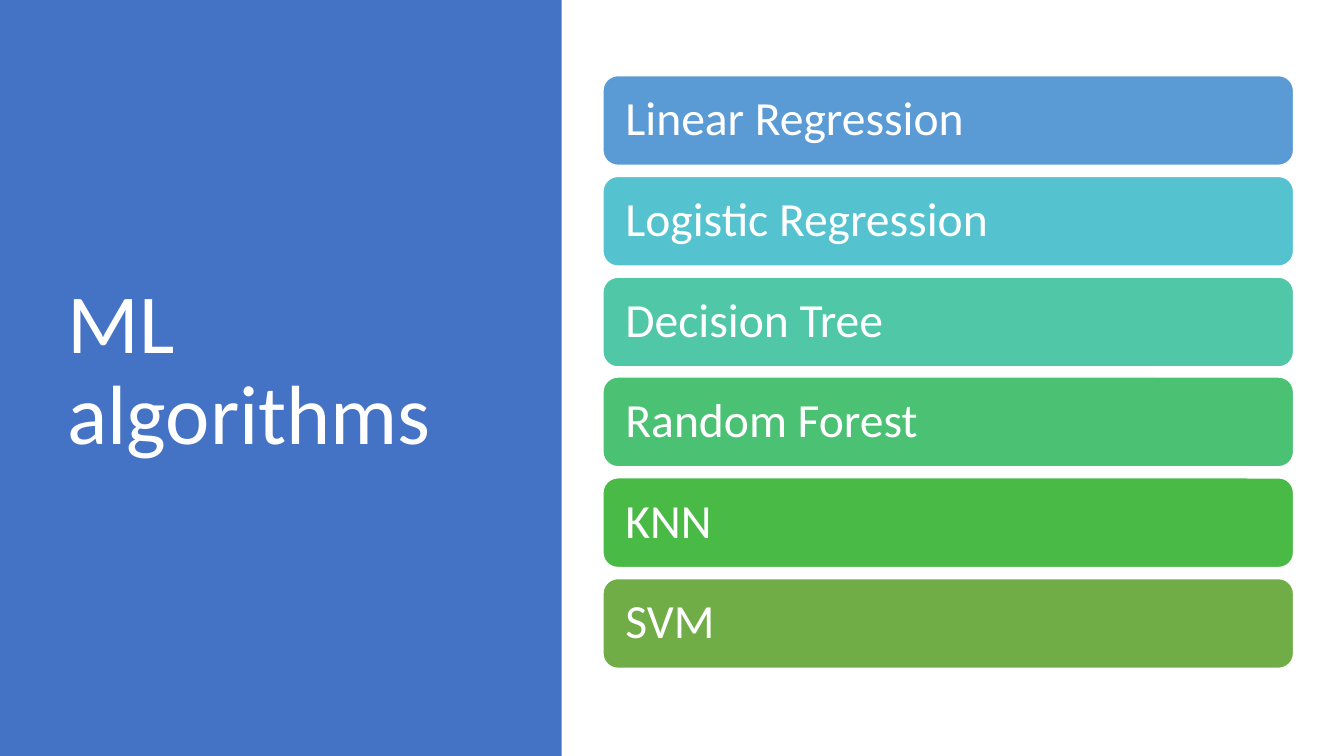
from pptx import Presentation
from pptx import util as u
from pptx.dml.color import RGBColor
from pptx.enum import shapes, text

PX = 9144  # EMU per px, 100 px to the inch
FONT = "Calibri"
WHITE = RGBColor(0xFF, 0xFF, 0xFF)
PANEL_BLUE = RGBColor(0x44, 0x72, 0xC4)
SKY = RGBColor(0x5B, 0x9B, 0xD5)
CYAN = RGBColor(0x55, 0xC3, 0xCF)
TEAL = RGBColor(0x50, 0xC8, 0xA7)
MINT = RGBColor(0x4B, 0xC1, 0x74)
GREEN = RGBColor(0x4A, 0xBA, 0x46)
OLIVE = RGBColor(0x70, 0xAD, 0x47)

ALGORITHMS = [
    ("Linear Regression", SKY),
    ("Logistic Regression", CYAN),
    ("Decision Tree", TEAL),
    ("Random Forest", MINT),
    ("KNN", GREEN),
    ("SVM", OLIVE),
]
BAR_LEFT, BAR_TOP, BAR_WIDTH, BAR_HEIGHT = 598, 75, 685, 89
BAR_PITCH = 99.8


def write(shape, words, size, color=WHITE, inset=10, line_spacing=0.9):
    """Fill a shape with left-aligned, vertically centred text."""
    frame = shape.text_frame
    frame.word_wrap = True
    frame.vertical_anchor = text.MSO_ANCHOR.MIDDLE
    frame.margin_left = frame.margin_right = inset * PX
    paragraph = frame.paragraphs[0]
    paragraph.alignment = text.PP_ALIGN.LEFT
    paragraph.line_spacing = line_spacing
    run = paragraph.add_run()
    run.text = words
    run.font.name = FONT
    run.font.size = u.Pt(size)
    run.font.color.rgb = color


class SlideBuilder:
    def __init__(self, slide):
        self.slide = slide

    def block(self, kind, left, top, width, height, fill, line=None):
        shape = self.slide.shapes.add_shape(
            kind, left * PX, top * PX, width * PX, height * PX)
        shape.shadow.inherit = False
        shape.fill.solid()
        shape.fill.fore_color.rgb = fill
        if line is None:
            shape.line.fill.background()
        else:
            shape.line.color.rgb = line
            shape.line.width = u.Pt(1)
        return shape

    def title(self, left, top, width, height, words):
        box = self.slide.shapes.add_textbox(
            left * PX, top * PX, width * PX, height * PX)
        write(box, words, size=60)

    def bar(self, top, words, fill):
        shape = self.block(shapes.MSO_SHAPE.ROUNDED_RECTANGLE,
                           BAR_LEFT, top, BAR_WIDTH, BAR_HEIGHT, fill, WHITE)
        write(shape, words, size=34, inset=18)


def main():
    presentation = Presentation()
    presentation.slide_width = 1333 * PX
    presentation.slide_height = 750 * PX
    slide = presentation.slides.add_slide(presentation.slide_layouts[6])
    builder = SlideBuilder(slide)

    # Title panel
    builder.block(shapes.MSO_SHAPE.RECTANGLE, 0, 0, 557, 750, PANEL_BLUE)
    builder.title(57, 68, 416, 602, "ML algorithms")

    # Stack of algorithm bars
    for index, (name, color) in enumerate(ALGORITHMS):
        builder.bar(BAR_TOP + round(index * BAR_PITCH), name, color)

    presentation.save("out.pptx")


if __name__ == "__main__":
    main()
